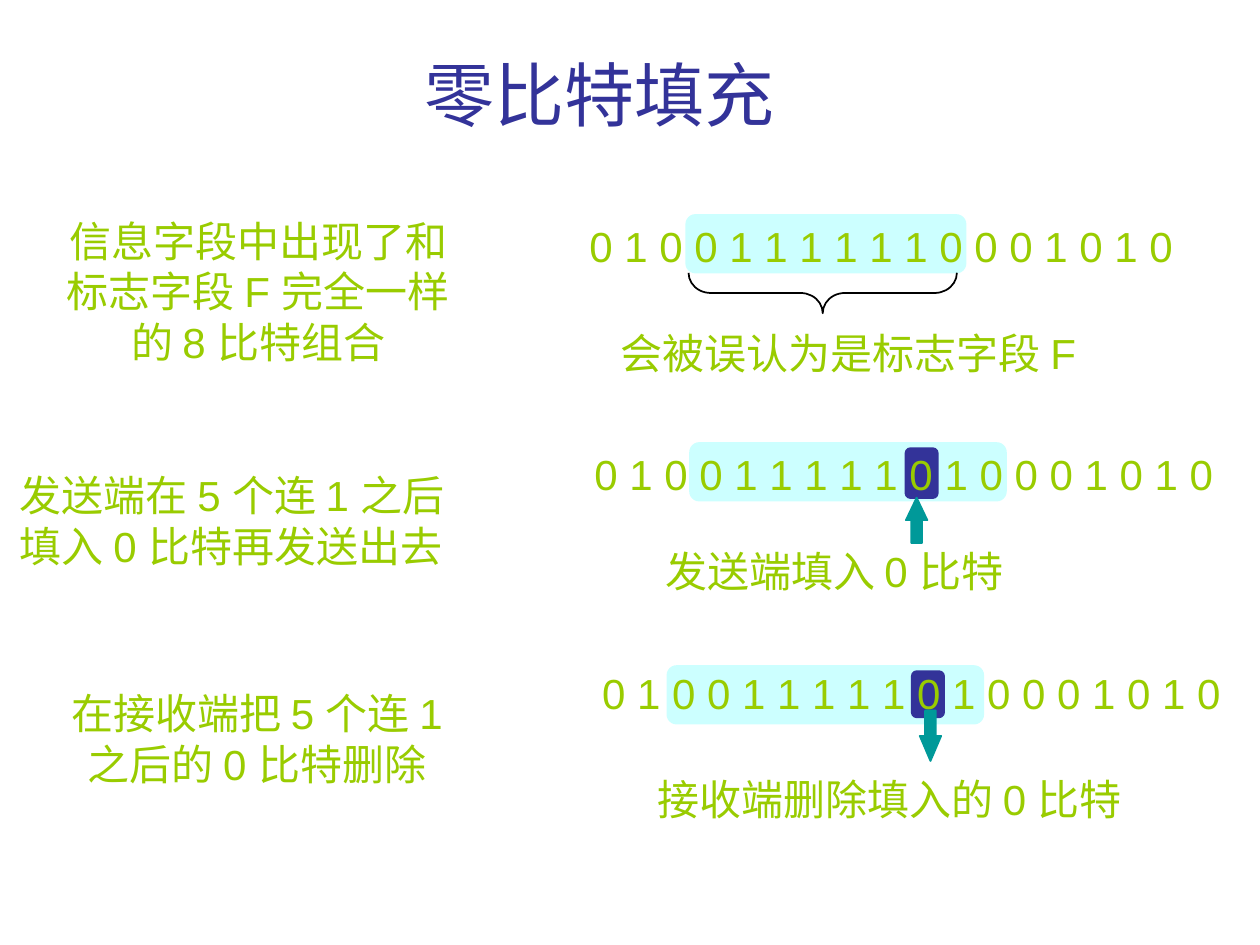
from pptx import Presentation
from pptx.dml.color import RGBColor
from pptx.enum.shapes import MSO_SHAPE
from pptx.enum.text import MSO_AUTO_SIZE, PP_ALIGN
from pptx.util import Inches, Pt

GREEN, NAVY, TEAL, CYAN, BLACK = "99CC00", "333399", "009999", "CCFFFF", "000000"


def rgb(value):
    return RGBColor.from_string(value)


class BitStuffingSlide:
    """Holds the text style and the slide, and draws each kind of element."""

    def __init__(self, slide, font="Arial", size=24, color=GREEN):
        self.slide = slide
        self.font, self.size, self.color = font, size, color

    def text(self, box, lines, align=PP_ALIGN.LEFT, font=None, size=None, color=None):
        label = self.slide.shapes.add_textbox(*map(Inches, box))
        frame = label.text_frame
        frame.word_wrap = False
        frame.auto_size = MSO_AUTO_SIZE.SHAPE_TO_FIT_TEXT
        for index, line in enumerate(lines):
            paragraph = frame.add_paragraph() if index else frame.paragraphs[0]
            paragraph.alignment = align
            run = paragraph.add_run()
            run.text = line
            run.font.name = font or self.font
            run.font.size = Pt(size or self.size)
            run.font.color.rgb = rgb(color or self.color)

    def shape(self, preset, box, fill=None, line=None, adjustments=(), rotation=0):
        shape = self.slide.shapes.add_shape(preset, *map(Inches, box))
        shape.shadow.inherit = False
        shape.rotation = rotation
        for index, value in enumerate(adjustments):
            shape.adjustments[index] = value
        if fill:
            shape.fill.solid()
            shape.fill.fore_color.rgb = rgb(fill)
        else:
            shape.fill.background()
        if line:
            shape.line.color.rgb = rgb(line)
            shape.line.width = Pt(1)
        else:
            shape.line.fill.background()

    def highlight(self, box, fill=CYAN):
        self.shape(MSO_SHAPE.ROUNDED_RECTANGLE, box, fill, adjustments=[0.17])

    def arrow(self, preset, box, head):
        self.shape(preset, box, TEAL, TEAL, [0.5, head])

    def brace(self, box):
        self.shape(MSO_SHAPE.LEFT_BRACE, box, line=BLACK, adjustments=[0.55, 0.5], rotation=270)


def main():
    presentation = Presentation()
    presentation.slide_width, presentation.slide_height = Inches(10), Inches(7.5)
    page = BitStuffingSlide(presentation.slides.add_slide(presentation.slide_layouts[6]))

    page.text((3.27, 0.36, 3.1, 0.77), ["零比特填充"], font="Cabin", size=40, color=NAVY)

    original_bits = "0 1 0 0 1 1 1 1 1 1 0 0 0 1 0 1 0"
    stuffed_bits = "0 1 0 0 1 1 1 1 1 0 1 0 0 0 1 0 1 0"
    bit_rows = [
        ((5.44, 1.7, 2.23, 0.47), None, (4.58, 1.7, 4.9, 0.5), original_bits),
        ((5.47, 3.51, 2.52, 0.47), (7.18, 3.55, 0.27, 0.41), (4.62, 3.51, 5.2, 0.5), stuffed_bits),
        ((5.29, 5.28, 2.52, 0.47), (7.23, 5.32, 0.27, 0.38), (4.68, 5.25, 5.2, 0.5), stuffed_bits),
    ]
    for field_box, stuffed_box, bits_box, bits in bit_rows:
        page.highlight(field_box)
        if stuffed_box:
            page.highlight(stuffed_box, NAVY)
        page.text(bits_box, [bits])

    page.text((0.3, 1.66, 3.5, 1.3),
              ["信息字段中出现了和", "标志字段 F 完全一样", "的 8 比特组合"], PP_ALIGN.CENTER)
    page.text((0.06, 3.68, 4, 0.9), ["发送端在 5 个连 1 之后", "填入 0 比特再发送出去"])
    page.text((0.29, 5.41, 3.5, 0.9),
              ["在接收端把 5 个连 1", "之后的 0 比特删除"], PP_ALIGN.CENTER)

    page.brace((6.37, 1.26, 0.32, 2.13))
    page.arrow(MSO_SHAPE.UP_ARROW, (7.19, 3.95, 0.17, 0.36), 1.05)
    page.arrow(MSO_SHAPE.DOWN_ARROW, (7.3, 5.64, 0.17, 0.4), 1.17)

    page.text((4.83, 2.55, 4.1, 0.5), ["会被误认为是标志字段 F"])
    page.text((5.18, 4.28, 3.15, 0.5), ["发送端填入 0 比特"])
    page.text((5.12, 6.09, 4.15, 0.5), ["接收端删除填入的 0 比特"])

    presentation.save("out.pptx")


if __name__ == "__main__":
    main()
